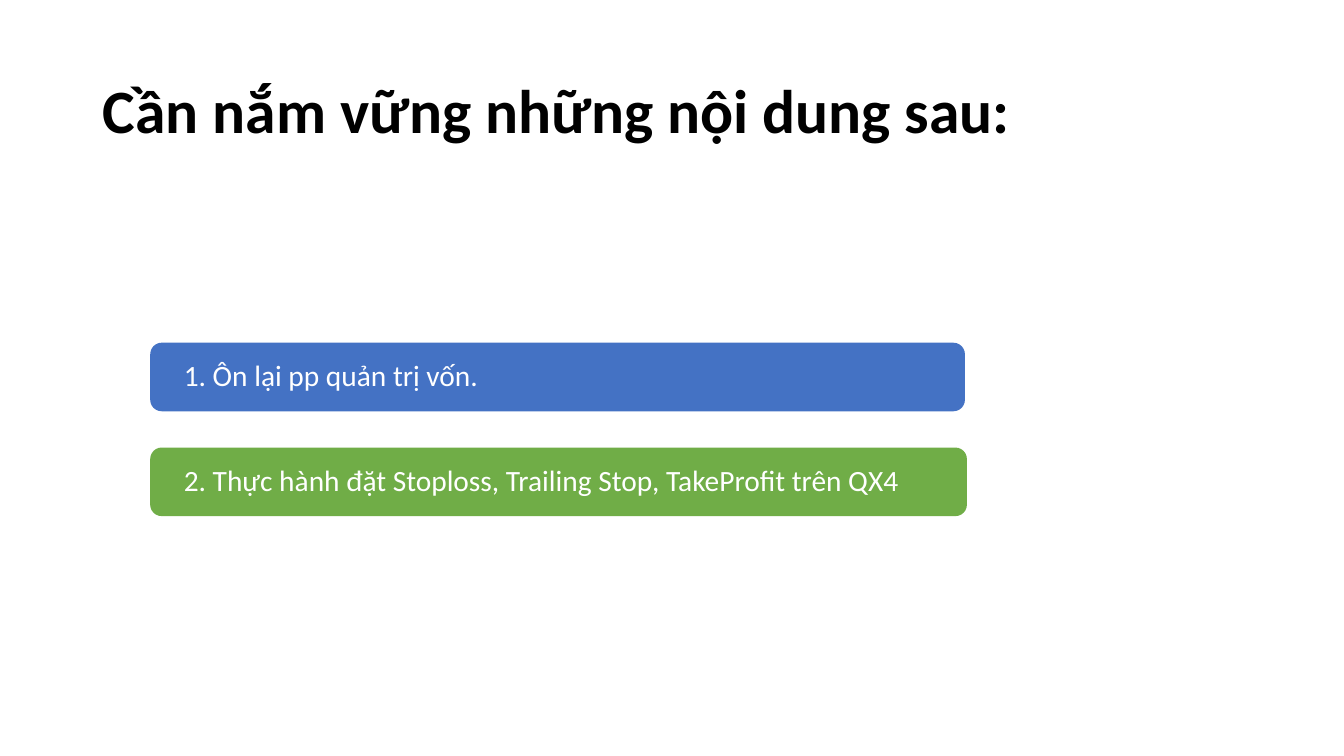
from pptx import Presentation
from pptx.dml.color import RGBColor
from pptx.enum.shapes import MSO_SHAPE
from pptx.enum.text import MSO_ANCHOR, PP_ALIGN
from pptx.util import Inches, Pt

ROUNDED = MSO_SHAPE.ROUNDED_RECTANGLE
MIDDLE = MSO_ANCHOR.MIDDLE
LEFT = PP_ALIGN.LEFT

BLACK = RGBColor(0x00, 0x00, 0x00)
WHITE = RGBColor(0xFF, 0xFF, 0xFF)
BLUE = RGBColor(0x44, 0x72, 0xC4)
GREEN = RGBColor(0x70, 0xAD, 0x47)

FONT = "Calibri"
TITLE_ONLY_LAYOUT = 5
BAR_LEFT, BAR_TOP, BAR_HEIGHT, BAR_STEP = 1.49, 3.4, 0.68, 1.04

TOPICS = [
    ("1. Ôn lại pp quản trị vốn.", BLUE, 8.08),
    ("2. Thực hành đặt Stoploss, Trailing Stop, TakeProfit trên QX4", GREEN, 8.1),
]


def write_text(shape, text, size, color, bold=False):
    """Write one left-aligned, vertically centred paragraph into a shape."""
    frame = shape.text_frame
    frame.text = text
    frame.word_wrap = True
    frame.vertical_anchor = MIDDLE
    paragraph = frame.paragraphs[0]
    paragraph.alignment = LEFT
    paragraph.line_spacing = 0.9
    font = paragraph.runs[0].font
    font.name = FONT
    font.size = Pt(size)
    font.bold = bold
    font.color.rgb = color


def add_title(slide, text):
    """Place and fill the title placeholder."""
    title = slide.shapes.title
    title.left, title.top = Inches(0.92), Inches(0.4)
    title.width, title.height = Inches(11.5), Inches(1.45)
    write_text(title, text, 44, BLACK, bold=True)


def add_topic_bar(slide, text, color, top, width):
    """Add a rounded bar holding one topic."""
    bar = slide.shapes.add_shape(
        ROUNDED, Inches(BAR_LEFT), Inches(top), Inches(width), Inches(BAR_HEIGHT)
    )
    bar.shadow.inherit = False
    bar.fill.solid()
    bar.fill.fore_color.rgb = color
    bar.line.fill.background()
    frame = bar.text_frame
    frame.margin_left = frame.margin_right = Inches(0.3)
    frame.margin_top = frame.margin_bottom = 0
    write_text(bar, text, 21, WHITE)


def main():
    """Build the slide and save it."""
    presentation = Presentation()
    presentation.slide_width = Inches(13.33)
    presentation.slide_height = Inches(7.5)
    layout = presentation.slide_layouts[TITLE_ONLY_LAYOUT]
    slide = presentation.slides.add_slide(layout)
    add_title(slide, "Cần nắm vững những nội dung sau:")
    for index, (text, color, width) in enumerate(TOPICS):
        add_topic_bar(slide, text, color, BAR_TOP + index * BAR_STEP, width)
    presentation.save("out.pptx")


main()
